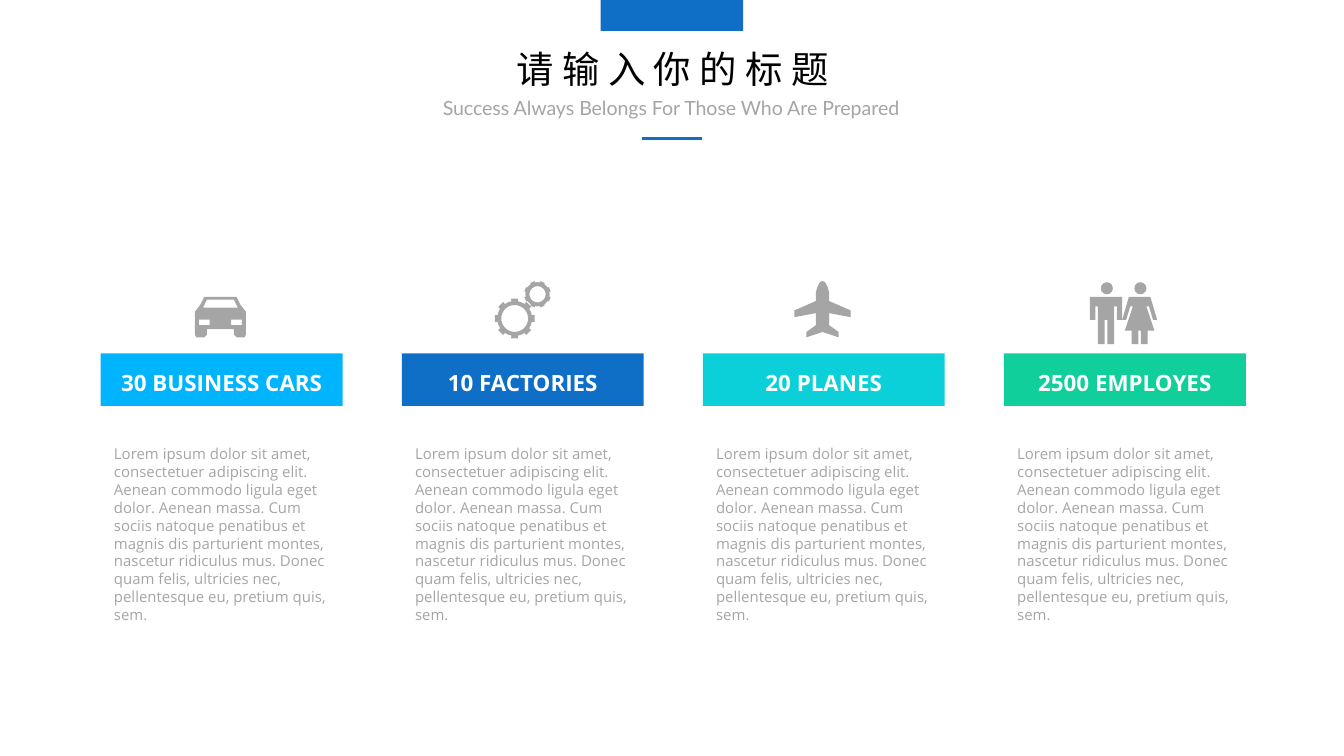
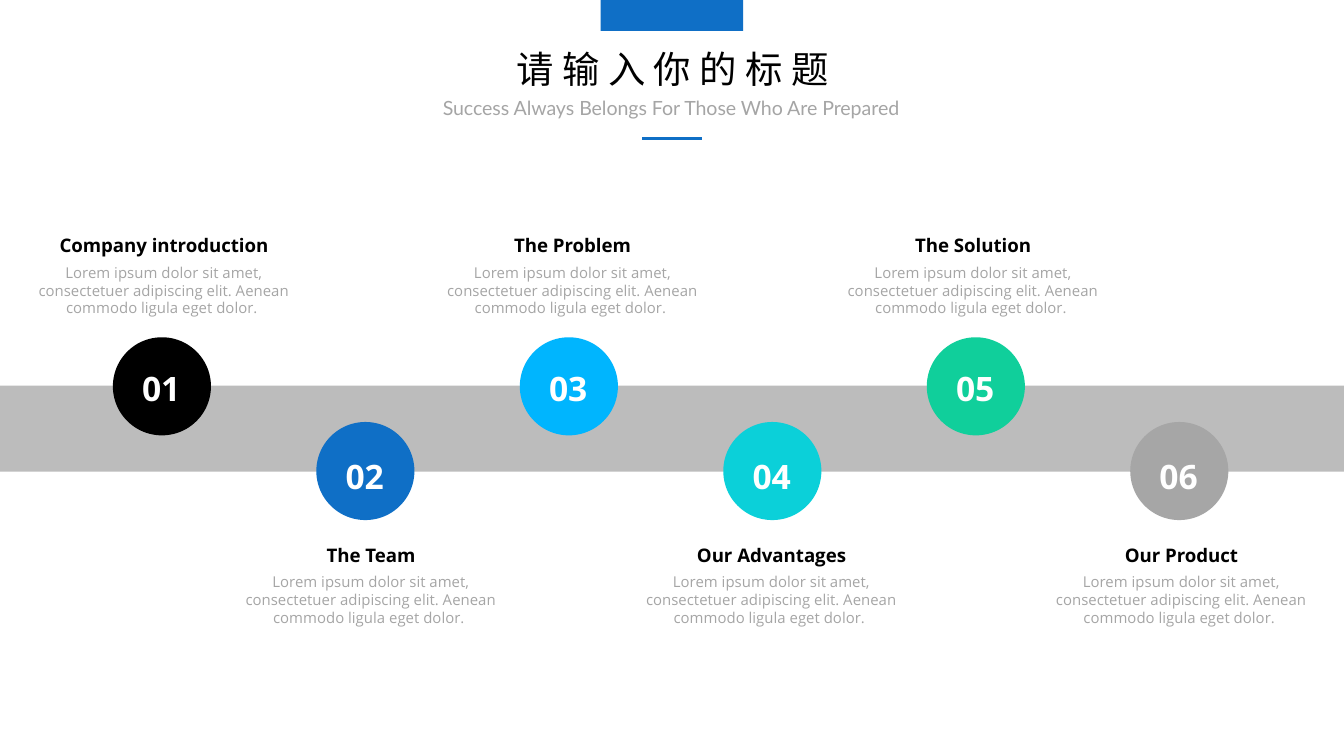
"""Build a four-column resource slide and a six-step timeline slide."""
from math import cos, radians, sin

from lxml import etree
from pptx import Presentation
from pptx.dml.color import RGBColor
from pptx.enum.shapes import MSO_CONNECTOR, MSO_SHAPE
from pptx.enum.text import MSO_AUTO_SIZE, PP_ALIGN
from pptx.oxml.ns import qn
from pptx.util import Inches, Pt

RECTANGLE, OVAL = MSO_SHAPE.RECTANGLE, MSO_SHAPE.OVAL
STRAIGHT = MSO_CONNECTOR.STRAIGHT
LEFT, CENTER = PP_ALIGN.LEFT, PP_ALIGN.CENTER
GROW = MSO_AUTO_SIZE.SHAPE_TO_FIT_TEXT

COLORS = {
    "white": "FFFFFF", "black": "000000", "blue": "0F6FC6", "sky": "00B5FE",
    "cyan": "0BD0D9", "green": "10CF9B", "gray": "A5A5A5", "step": "A6A6A6",
    "band": "BCBCBC",
}
BODY_FONT = "Open Sans"
TITLE = "请输入你的标题"
SUBTITLE = "Success Always Belongs For Those Who Are Prepared"

RESOURCES = [
    ("30 BUSINESS CARS", "sky"),
    ("10 FACTORIES", "blue"),
    ("20 PLANES", "cyan"),
    ("2500 EMPLOYES", "green"),
]
RESOURCE_TEXT = (
    "Lorem ipsum dolor sit amet, consectetuer adipiscing elit. Aenean commodo "
    "ligula eget dolor. Aenean massa. Cum sociis natoque penatibus et magnis "
    "dis parturient montes, nascetur ridiculus mus. Donec quam felis, ultricies "
    "nec, pellentesque eu, pretium quis, sem."
)
STEPS = [
    ("Company introduction", "black", 1.22),
    ("The Team", "blue", 2.76),
    ("The Problem", "sky", 4.26),
    ("Our Advantages", "cyan", 5.74),
    ("The Solution", "green", 7.24),
    ("Our Product", "step", 8.79),
]
STEP_TEXT = (
    "Lorem ipsum dolor sit amet, consectetuer adipiscing elit. "
    "Aenean commodo ligula eget dolor. "
)

CAR_BODY = [(0, 2.21), (0.12, 2.21), (0.15, 2.27), (0.19, 2.32), (0.19, 2.49),
            (0.18, 2.51), (0.12, 2.51), (0.1, 2.49), (0.1, 2.45), (0, 2.45)]
CAR_WINDOW = [(0, 2.23), (0.1, 2.23), (0.13, 2.29), (0, 2.29)]
CAR_LIGHT = [(0.08, 2.38), (0.16, 2.38), (0.16, 2.42), (0.08, 2.42)]
PLANE = [(0, 2.09), (0.02, 2.1), (0.04, 2.14), (0.05, 2.18), (0.05, 2.24),
         (0.21, 2.31), (0.21, 2.36), (0.05, 2.33), (0.05, 2.42), (0.12, 2.47),
         (0.12, 2.51), (0, 2.47)]
MAN = [(0, 2.21), (0.12, 2.21), (0.12, 2.38), (0.08, 2.38), (0.08, 2.28),
       (0.06, 2.28), (0.06, 2.56), (0.01, 2.56), (0.01, 2.38), (0, 2.38)]
WOMAN = [(0, 2.21), (0.08, 2.21), (0.13, 2.38), (0.1, 2.38), (0.07, 2.28),
         (0.05, 2.28), (0.11, 2.46), (0.06, 2.46), (0.06, 2.56), (0.01, 2.56),
         (0.01, 2.46), (0, 2.46)]


def color(name):
    return RGBColor.from_string(COLORS[name])


def paint(shape, fill):
    shape.shadow.inherit = False
    shape.fill.solid()
    shape.fill.fore_color.rgb = color(fill)
    shape.line.fill.background()


def add_block(slide, kind, left, top, width, height, fill):
    shape = slide.shapes.add_shape(
        kind, Inches(left), Inches(top), Inches(width), Inches(height))
    paint(shape, fill)


def add_text(slide, text, left, top, width, height, size, fill, font=BODY_FONT,
             bold=False, align=CENTER, wrap=True, line_spacing=None, tracking=None):
    box = slide.shapes.add_textbox(
        Inches(left), Inches(top), Inches(width), Inches(height))
    frame = box.text_frame
    frame.word_wrap = wrap
    frame.auto_size = GROW
    paragraph = frame.paragraphs[0]
    paragraph.alignment = align
    if line_spacing:
        paragraph.line_spacing = line_spacing
    run = paragraph.add_run()
    run.text = text
    run.font.name = font
    run.font.size = Pt(size)
    run.font.bold = bold
    run.font.color.rgb = color(fill)
    if tracking:
        run.font._element.set("spc", str(int(tracking * 100)))


def add_outline(slide, contours):
    """Draw closed contours, given in inches, as one gray shape."""
    builder = None
    for contour in contours:
        points = [(Inches(x), Inches(y)) for x, y in contour]
        if builder is None:
            builder = slide.shapes.build_freeform(*points[0])
        else:
            builder.move_to(*points[0])
        builder.add_line_segments(points[1:], close=True)
    paint(builder.convert_to_shape(), "gray")


def mirrored(center, half):
    """Complete a half outline by reflecting it about its vertical axis."""
    right = [(center + x, y) for x, y in half]
    return right + [(center - x, y) for x, y in reversed(half) if x]


def gear(center_x, center_y, outer, root, hole, turn):
    def polar(radius, angle):
        angle = radians(angle + turn)
        return center_x + radius * sin(angle), center_y - radius * cos(angle)

    profile = [(root, -11), (outer, -10), (outer, 10), (root, 11), (root, 22.5)]
    rim = [polar(radius, tooth * 45 + angle)
           for tooth in range(8) for radius, angle in profile]
    return [rim, [polar(hole, angle) for angle in range(0, 360, 10)]]


def add_icons(slide):
    car = 1.64
    lights = [[(car + side * x, y) for x, y in CAR_LIGHT] for side in (-1, 1)]
    add_outline(slide, gear(3.83, 2.37, 0.15, 0.13, 0.1, 0))
    add_outline(slide, gear(4, 2.19, 0.1, 0.09, 0.06, 22.5))
    add_outline(slide, [mirrored(6.12, PLANE)])
    for center, figure in ((8.23, MAN), (8.48, WOMAN)):
        add_block(slide, OVAL, center - 0.04, 2.1, 0.09, 0.09, "gray")
        add_outline(slide, [mirrored(center, figure)])
    add_outline(slide, [mirrored(car, CAR_BODY), mirrored(car, CAR_WINDOW), *lights])


def add_header(slide):
    rule = slide.shapes.add_connector(
        STRAIGHT, Inches(4.78), Inches(1.03), Inches(5.22), Inches(1.03))
    rule.line.color.rgb = color("blue")
    rule.line.width = Pt(2)
    etree.SubElement(rule._element.spPr, qn("a:effectLst"))
    add_text(slide, TITLE, 3.7, 0.36, 2.61, 0.38, 20, "black", "Arial",
             wrap=False, line_spacing=0.8, tracking=4.5)
    add_text(slide, SUBTITLE, 2.88, 0.7, 4.23, 0.24, 10.5, "gray", "Lato",
             line_spacing=0.8)
    add_block(slide, RECTANGLE, 4.47, 0, 1.06, 0.23, "blue")


def build_resources(slide):
    for index, (label, fill) in enumerate(RESOURCES):
        left = 0.75 + 2.24 * index
        add_block(slide, RECTANGLE, left, 2.63, 1.8, 0.39, fill)
        add_text(slide, label, left, 2.7, 1.8, 0.3, 12, "white", bold=True)
        add_text(slide, RESOURCE_TEXT, left, 3.26, 1.8, 1.45, 8, "gray", align=LEFT)
    add_icons(slide)


def build_timeline(slide):
    add_block(slide, RECTANGLE, 0, 2.87, 10, 0.64, "band")
    pitch = (8.41 - 0.84) / (len(STEPS) - 1)
    for index, (heading, fill, center) in enumerate(STEPS):
        left = 0.84 + pitch * index
        below = index % 2
        circle_top, number_top, heading_top, body_top = (
            (3.14, 3.34, 4, 4.21) if below else (2.51, 2.69, 1.69, 1.91))
        add_block(slide, OVAL, left, circle_top, 0.73, 0.73, fill)
        add_text(slide, f"{index + 1:02}", left + 0.07, number_top, 0.58, 0.4,
                 18, "white", bold=True)
        add_text(slide, heading, center - 0.95, heading_top, 1.9, 0.27, 10,
                 "black", bold=True)
        add_text(slide, STEP_TEXT, center - 1.04, body_top, 2.08, 0.5, 8, "gray")


def main():
    presentation = Presentation()
    presentation.slide_width = Inches(10)
    presentation.slide_height = presentation.slide_width * 9 // 16
    for build in (build_resources, build_timeline):
        slide = presentation.slides.add_slide(presentation.slide_layouts[6])
        build(slide)
        add_header(slide)
    presentation.save("out.pptx")


if __name__ == "__main__":
    main()
